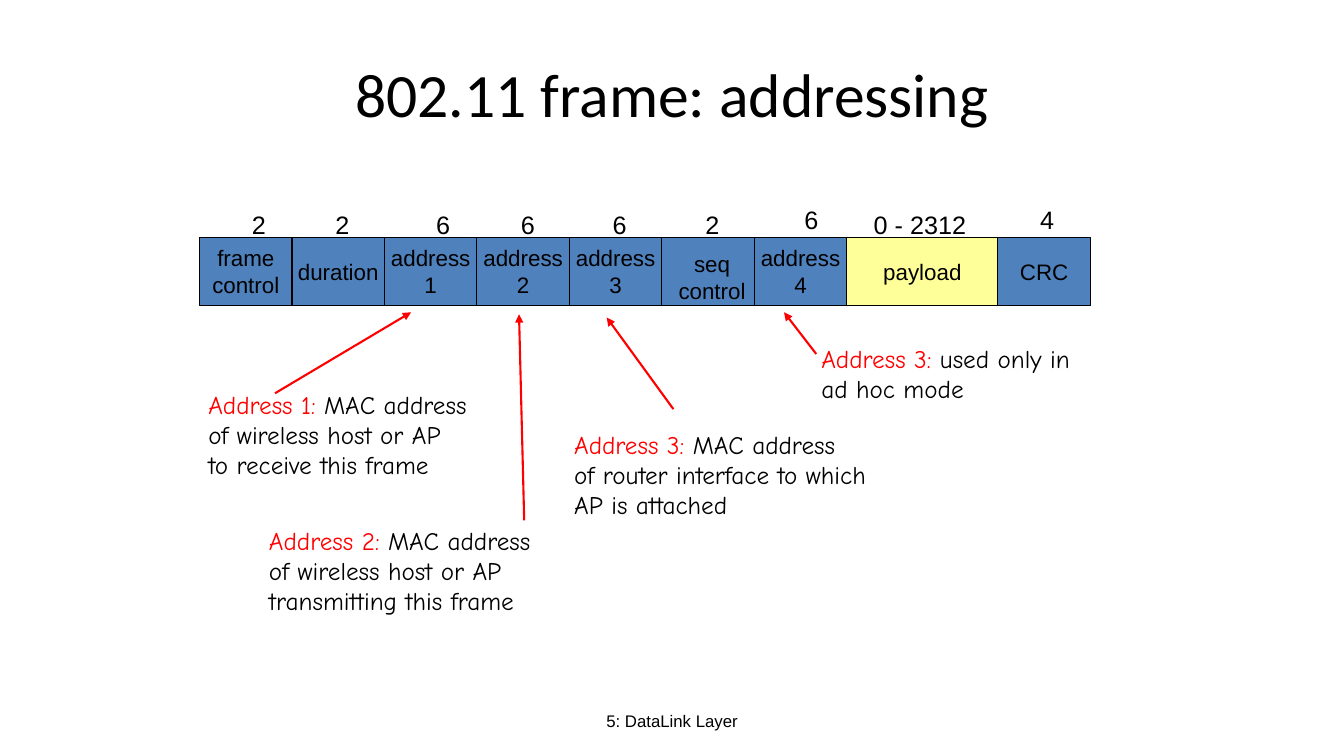
from dataclasses import dataclass

from lxml import etree
from pptx import Presentation
from pptx.dml.color import RGBColor
from pptx.enum.shapes import MSO_CONNECTOR, MSO_SHAPE
from pptx.enum.text import MSO_ANCHOR, PP_ALIGN
from pptx.oxml.ns import qn
from pptx.util import Cm, Pt

RECT = MSO_SHAPE.RECTANGLE
LINE = MSO_CONNECTOR.STRAIGHT
MIDDLE, TOP = MSO_ANCHOR.MIDDLE, MSO_ANCHOR.TOP
LEFT, CENTER = PP_ALIGN.LEFT, PP_ALIGN.CENTER


@dataclass(frozen=True)
class Theme:
    """Colours, fonts and type sizes of the slide."""
    ink: RGBColor = RGBColor(0, 0, 0)
    red: RGBColor = RGBColor(255, 0, 0)
    blue: RGBColor = RGBColor(0x4F, 0x81, 0xBD)
    yellow: RGBColor = RGBColor(0xFF, 0xFF, 0x99)
    head: str = "Calibri"
    sans: str = "Arial"
    hand: str = "Comic Neue"
    title: int = 44
    large: int = 18
    cell: int = 16
    small: int = 12


THEME = Theme()
UNIT, LONG, HIGH = 2.33, 3.81, 1.7
FIELDS = [
    ("frame\ncontrol", UNIT, THEME.blue),
    ("duration", UNIT, THEME.blue),
    ("address\n1", UNIT, THEME.blue),
    ("address\n2", UNIT, THEME.blue),
    ("address\n3", UNIT, THEME.blue),
    ("", UNIT, THEME.blue),
    ("address\n4", UNIT, THEME.blue),
    ("payload", LONG, THEME.yellow),
    ("CRC", UNIT, THEME.blue),
]
BYTES = [
    ("2", 1.07, -0.83), ("2", 3.17, -0.83), ("6", 5.71, -0.83),
    ("6", 7.85, -0.83), ("6", 10.16, -0.83), ("2", 12.5, -0.83),
    ("6", 14.99, -0.96), ("0 - 2312", 16.74, -0.83), ("4", 20.93, -0.96),
]
NOTES = [
    ((5, 9.68, 7.8, 2.54), "Address 1:",
     " MAC address\nof wireless host or AP\nto receive this frame",
     (1.93, 0.23, 5.36, -1.81)),
    ((6.53, 13.11, 7.9, 2.54), "Address 2:",
     " MAC address\nof wireless host or AP\ntransmitting this frame",
     (6.68, 0, 6.55, -5.19)),
    ((14.22, 10.69, 8.48, 2.54), "Address 3:",
     " MAC address\nof router interface to which AP is attached",
     (2.75, -0.38, 1.07, -2.69)),
    ((20.45, 8.53, 7.24, 1.78), "Address 3:",
     " used only in ad hoc mode",
     (0.12, 0.39, -0.69, -0.66)),
]


def style(para, size, face, align):
    """Set the alignment and font of a paragraph."""
    para.alignment = align
    para.font.size = Pt(size)
    para.font.name = face
    para.font.color.rgb = THEME.ink


def write(shape, text, size, face=THEME.sans, align=CENTER, anchor=MIDDLE, wrap=False):
    """Fill a shape with lines of text in one style."""
    frame = shape.text_frame
    frame.text = text
    frame.word_wrap = wrap
    frame.vertical_anchor = anchor
    for para in frame.paragraphs:
        style(para, size, face, align)


def heading(slide, left, top, width, height):
    """Move and format the title."""
    title = slide.shapes.title
    title.left, title.top = Cm(left), Cm(top)
    title.width, title.height = Cm(width), Cm(height)
    write(title, "802.11 frame: addressing", THEME.title, THEME.head, wrap=True)


def packet(slide, left, top):
    """Draw the row of frame fields with their byte counts."""
    parts = slide.shapes.add_group_shape().shapes
    x = left
    for text, width, fill in FIELDS:
        cell = parts.add_shape(RECT, Cm(x), Cm(top), Cm(width), Cm(HIGH))
        cell.shadow.inherit = False
        cell.fill.solid()
        cell.fill.fore_color.rgb = fill
        cell.line.color.rgb = THEME.ink
        cell.line.width = Pt(0.75)
        if text:
            write(cell, text, THEME.cell)
        x += width
    for text, dx, dy in BYTES:
        width = 0.86 if len(text) == 1 else 2.84
        label = parts.add_textbox(Cm(left + dx), Cm(top + dy), Cm(width), Cm(1.02))
        write(label, text, THEME.large, align=LEFT, anchor=TOP)
    label = parts.add_textbox(Cm(left + 11.81), Cm(top + 0.18), Cm(2.21), Cm(1.63))
    write(label, "seq\ncontrol", THEME.cell, anchor=TOP)


def arrow(slide, x1, y1, x2, y2):
    """Draw a red arrow between two points."""
    link = slide.shapes.add_connector(LINE, Cm(x1), Cm(y1), Cm(x2), Cm(y2))
    link.line.color.rgb = THEME.red
    link.line.width = Pt(1.5)
    etree.SubElement(link.line._get_or_add_ln(), qn("a:tailEnd"), type="triangle")
    etree.SubElement(link._element.spPr, qn("a:effectLst"))


def note(slide, box, name, text, ends):
    """Write an address note and its arrow to the field."""
    left, top, width, height = box
    frame = slide.shapes.add_textbox(Cm(left), Cm(top), Cm(width), Cm(height)).text_frame
    frame.word_wrap = True
    first, *rest = text.split("\n")
    para = frame.paragraphs[0]
    style(para, THEME.large, THEME.hand, LEFT)
    for part, color in ((name, THEME.red), (first, THEME.ink)):
        run = para.add_run()
        run.text = part
        run.font.color.rgb = color
    for line in rest:
        para = frame.add_paragraph()
        para.text = line
        style(para, THEME.large, THEME.hand, LEFT)
    x1, y1, x2, y2 = ends
    arrow(slide, left + x1, top + y1, left + x2, top + y2)


def footer(slide, left, top, width, height):
    """Write the chapter line at the foot."""
    box = slide.shapes.add_textbox(Cm(left), Cm(top), Cm(width), Cm(height))
    write(box, "5: DataLink Layer", THEME.small, wrap=True)


def main():
    """Build and save the slide."""
    deck = Presentation()
    deck.slide_width, deck.slide_height = Cm(33.87), Cm(19.05)
    slide = deck.slides.add_slide(deck.slide_layouts[5])
    heading(slide, 1.7, 0.76, 30.48, 3.18)
    footer(slide, 11.58, 17.65, 10.72, 1.02)
    packet(slide, 5.03, 5.99)
    for item in NOTES:
        note(slide, *item)
    deck.save("out.pptx")


if __name__ == "__main__":
    main()
